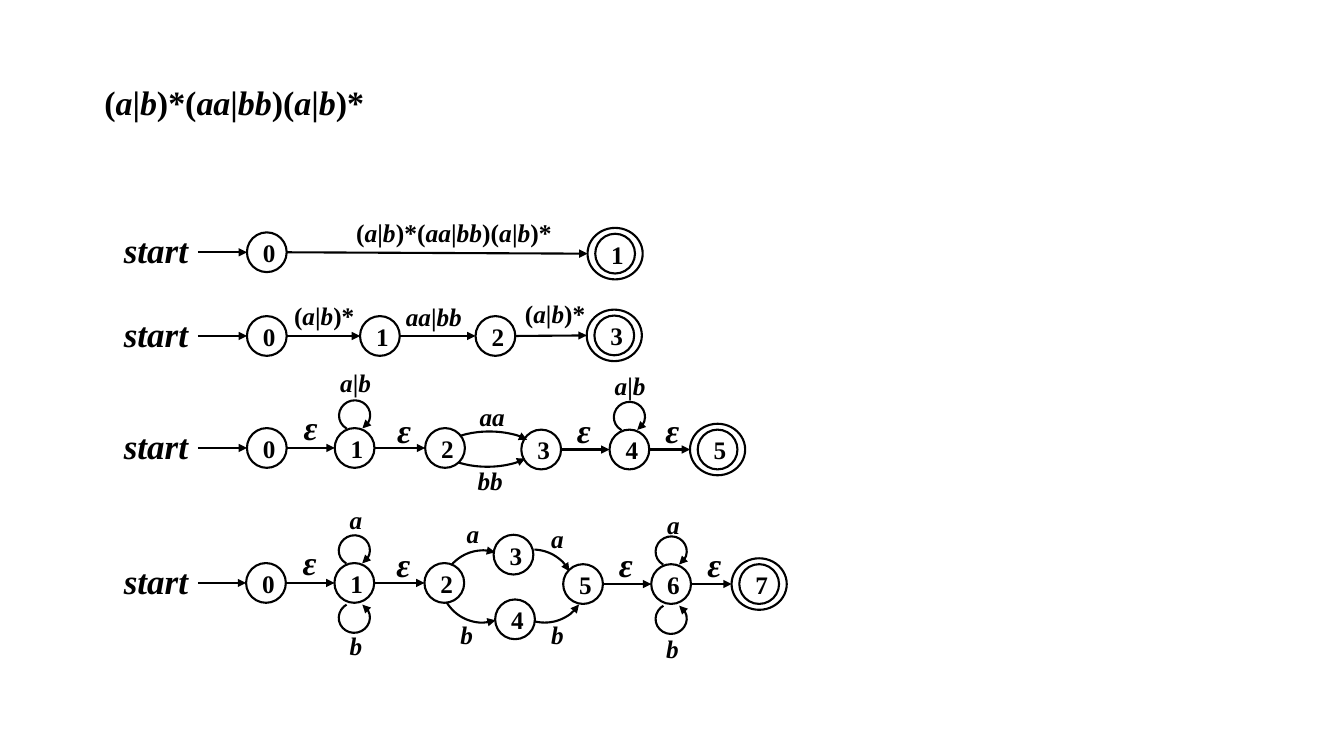
"""Builds a slide that turns a regular expression into a finite automaton step by step."""
from itertools import groupby

from lxml.etree import SubElement
from pptx import Presentation
from pptx.dml.color import RGBColor
from pptx.enum.shapes import MSO_CONNECTOR as Link, MSO_SHAPE as Shape
from pptx.enum.text import MSO_ANCHOR as Anchor, PP_ALIGN as Align
from pptx.oxml.ns import qn
from pptx.util import Pt

COLORS = {"ink": "000000"}
FACE = "Times New Roman"
EXPRESSION = "(a|b)*(aa|bb)(a|b)*"
STATE, FINAL_W, FINAL_H = 28.4, 39.4, 36.8
LOOP_W, LOOP_H, LOOP_ARC = 22.3, 21.6, (80.25, 42.92)
LOOP_ABOVE, LOOP_BELOW = (-23.2, 347.3, "tailEnd"), (24.8, 167.7, "headEnd")
START_X, START_W, START_H, ARROW_X = 76.4, 70, 17.3, 141.4

# states: name -> centre; the last one accepts
AUTOMATA = [
    {"states": {"0": (190.6, 180.2), "1": (439.4, 181.2)},
     "moves": ["01"]},
    {"states": {"0": (190.6, 240), "1": (271.4, 240), "2": (353.9, 240),
                "3": (438.8, 239.6)},
     "moves": ["01", "12", "23"]},
    {"states": {"0": (190.6, 320), "1": (253.3, 320), "2": (317.9, 320),
                "3": (386.6, 321.1), "4": (449.6, 321.1), "5": (512.6, 321.1)},
     "moves": ["01", "12", "34", "45"],
     "loops": [("1", LOOP_ABOVE), ("4", LOOP_ABOVE)]},
    {"states": {"0": (190, 416.4), "1": (253.1, 416.4), "2": (317.4, 416.4),
                "3": (366.8, 396.2), "4": (367.9, 442.4), "5": (416.5, 417.2),
                "6": (479.4, 417.2), "7": (542.3, 417.2)},
     "moves": ["01", "12", "56", "67"],
     "loops": [("1", LOOP_ABOVE), ("1", LOOP_BELOW),
               ("6", LOOP_ABOVE), ("6", LOOP_BELOW)]},
]
SPACED_H, PLAIN_H = 43.2, 28.8
# left, top, width, height, rotation, flipped, arc ends
BRANCHES = [
    (316.8, 308.2, 65.5, 27.4, 0, False, (124, 206.38)),
    (315.4, 306, 65.5, 27.4, 0, True, (124, 206.38)),
    (313.2, 393.1, 65.5, 74.2, 352.8, False, (141.37, 173.6)),
    (343.4, 391, 65.5, 74.2, 37.5, False, (144.86, 173.6)),
    (313.9, 370.8, 65.5, 74.2, 16.7, True, (141.37, 179.19)),
    (352.8, 371.5, 65.5, 74.2, 331, True, (141.37, 174.83)),
]
# text, left, top, width, size, left margin
SPACED_LABELS = [
    (EXPRESSION, 61.2, 47.8, 720, 24.3, 13.3),
    (EXPRESSION, 242.6, 137.5, 163.4, 18.2, 11.8),
    ("(a|b)*", 203, 196.6, 65.5, 18, 7.2),
    ("(a|b)*", 367.9, 195.1, 64.1, 18, 7.2),
    ("aa", 335.5, 268.6, 33.8, 18, 7.2),
    ("bb", 334.1, 314.2, 33.8, 18, 7.2),
    ("a", 326.2, 352.1, 33.8, 18, 7.2),
    ("a", 386.6, 355.4, 33.8, 18, 7.2),
    ("b", 321.8, 424.5, 33.8, 18, 7.2),
    ("b", 386.6, 424.1, 33.8, 18, 7.2),
] + [("ε", left, top, 28.1, 24.3, 7.2) for left, top in [
    (209.8, 280.1), (276.5, 281.8), (404.9, 281.8), (468.2, 281.8),
    (209.1, 376.6), (276, 378), (434.9, 378), (498.2, 378)]]
# text, left, top, width
PLAIN_LABELS = [
    ("aa|bb", 282.8, 211.7, 68.4), ("a|b", 235.9, 258.5, 37.4),
    ("a|b", 432, 261, 41), ("a", 242.6, 356.4, 37.4),
    ("b", 242.6, 446.4, 37.4), ("a", 469.4, 360.4, 41),
    ("b", 468.7, 448.6, 37.4),
]


def ink():
    return RGBColor.from_string(COLORS["ink"])


def write(frame, text, size, align, anchor, wrap=True):
    frame.word_wrap, frame.vertical_anchor = wrap, anchor
    line = frame.paragraphs[0]
    line.alignment = align
    line.font.name, line.font.size, line.font.bold = FACE, Pt(size), True
    line.font.color.rgb = ink()
    for italic, letters in groupby(text, str.isalpha):
        run = line.add_run()
        run.text, run.font.italic = "".join(letters), italic
    return line


def text_area(text, left, top, width, height, size, align, anchor):
    area = slide.shapes.add_textbox(Pt(left), Pt(top), Pt(width), Pt(height))
    return area.text_frame, write(area.text_frame, text, size, align, anchor)


def outline(kind, left, top, width, height):
    drawn = slide.shapes.add_shape(kind, Pt(left), Pt(top), Pt(width), Pt(height))
    drawn.shadow.inherit = False
    drawn.fill.background()
    drawn.line.color.rgb, drawn.line.width = ink(), Pt(1.5)
    return drawn


def circle(x, y, width, height):
    return outline(Shape.OVAL, x - width / 2, y - height / 2, width, height)


def arrowhead(drawn, end="tailEnd"):
    SubElement(drawn.line._get_or_add_ln(), qn(f"a:{end}"), type="triangle")


def state(name, x, y):
    frame = circle(x, y, STATE, STATE).text_frame
    frame.margin_left, frame.margin_top = Pt(3.5), Pt(0.5)
    frame.margin_right = frame.margin_bottom = 0
    write(frame, name, 18, Align.CENTER, Anchor.MIDDLE, False)


def arrow(x1, y1, x2, y2):
    move = slide.shapes.add_connector(Link.STRAIGHT, Pt(x1), Pt(y1), Pt(x2), Pt(y2))
    move.line.color.rgb, move.line.width = ink(), Pt(1.5)
    arrowhead(move)
    SubElement(move._element.spPr, qn("a:effectLst"))


def arc(left, top, width, height, rotation, flipped, ends, head="tailEnd"):
    curve = outline(Shape.ARC, left, top, width, height)
    curve.adjustments[0], curve.adjustments[1] = ends
    curve.rotation = rotation
    if flipped:
        curve._element.spPr.find(qn("a:xfrm")).set("flipV", "1")
    arrowhead(curve, head)


def automaton(states, moves, loops=()):
    final = list(states)[-1]
    x0, y0 = states["0"]
    text_area("start", START_X, y0 - 1.8 - START_H / 2, START_W, START_H,
              25, Align.CENTER, Anchor.MIDDLE)
    arrow(ARROW_X, y0, x0 - STATE / 2, y0)
    circle(*states[final], FINAL_W, FINAL_H)
    for name, (x, y) in states.items():
        state(name, x, y)
    for source, target in moves:
        (x1, y1), (x2, y2) = states[source], states[target]
        reach = FINAL_W if target == final else STATE
        arrow(x1 + STATE / 2, y1, x2 - reach / 2, y2)
    for name, (shift, rotation, head) in loops:
        x, y = states[name]
        arc(x - LOOP_W / 2, y + shift - LOOP_H / 2, LOOP_W, LOOP_H,
            rotation, False, LOOP_ARC, head)


deck = Presentation()
deck.slide_width, deck.slide_height = Pt(960), Pt(540)
slide = deck.slides.add_slide(deck.slide_layouts[6])

for stage in AUTOMATA:
    automaton(**stage)
for branch in BRANCHES:
    arc(*branch)
for text, left, top, width, size, margin in SPACED_LABELS:
    frame, line = text_area(text, left, top, width, SPACED_H, size,
                            Align.JUSTIFY, Anchor.BOTTOM)
    frame.margin_left, line.line_spacing = Pt(margin), Pt(40)
for text, left, top, width in PLAIN_LABELS:
    text_area(text, left, top, width, PLAIN_H, 18, Align.LEFT, Anchor.TOP)

deck.save("out.pptx")
